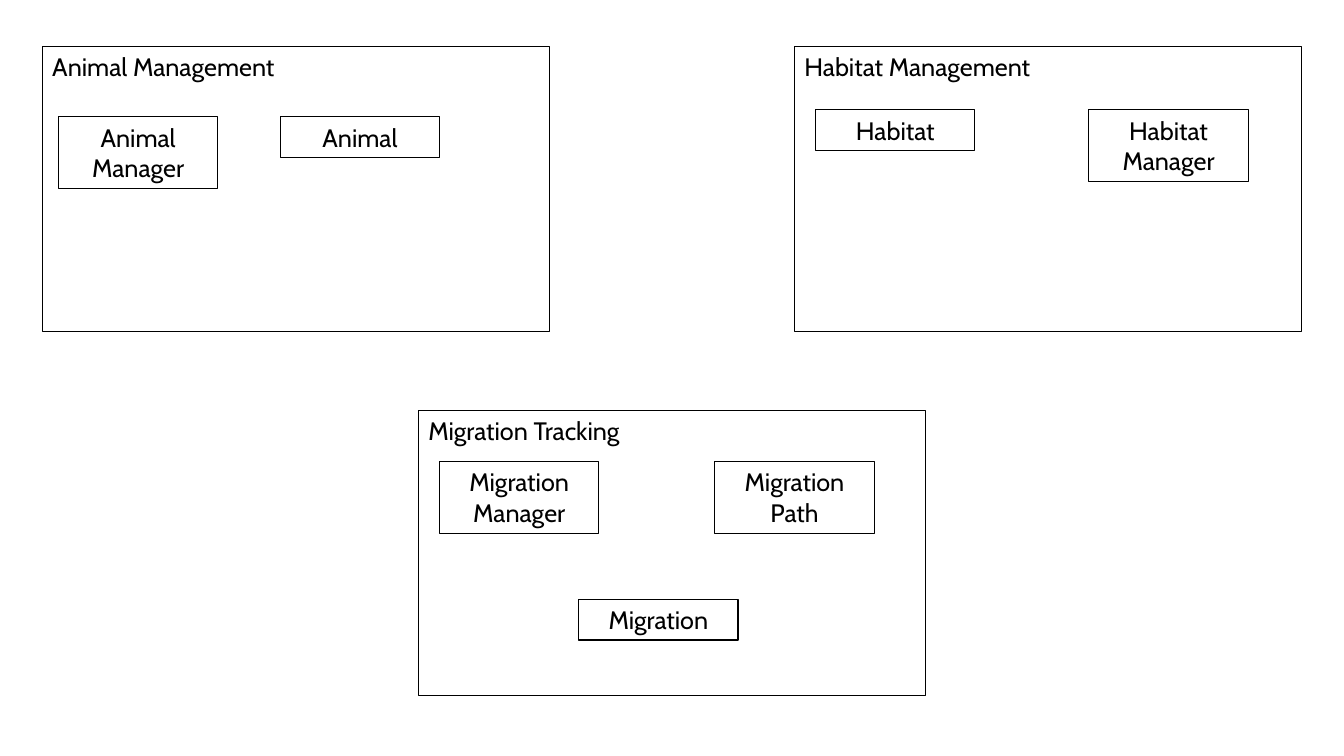
from pptx import Presentation
from pptx.dml.color import RGBColor
from pptx.enum.shapes import MSO_SHAPE
from pptx.enum.text import MSO_ANCHOR, PP_ALIGN
from pptx.util import Inches, Pt

RECTANGLE = MSO_SHAPE.RECTANGLE
TOP = MSO_ANCHOR.TOP
LEFT, CENTER = PP_ALIGN.LEFT, PP_ALIGN.CENTER
BLACK = RGBColor(0x00, 0x00, 0x00)
FONT = "Cabin"

# Modules: title, left, top, classes (name, left, top, number of lines)
MODULES = [
    ("Animal Management", 0.42, 0.46, [
        ("Animal\nManager", 0.58, 1.16, 2),
        ("Animal", 2.78, 1.16, 1),
    ]),
    ("Habitat Management", 7.88, 0.46, [
        ("Habitat", 8.09, 1.09, 1),
        ("Habitat Manager", 10.8, 1.09, 2),
    ]),
    ("Migration Tracking", 4.15, 4.07, [
        ("Migration Manager", 4.36, 4.58, 2),
        ("Migration Path", 7.09, 4.58, 2),
        ("Migration", 5.74, 5.95, 1),
    ]),
]
MODULE_SIZE = (5.03, 2.83)
CLASS_WIDTH = 1.58
CLASS_HEIGHTS = {1: 0.4, 2: 0.71}


def add_box(slide, text, *, left, top, width, height, align=LEFT, size=18):
    box = slide.shapes.add_shape(
        RECTANGLE, Inches(left), Inches(top), Inches(width), Inches(height))
    box.shadow.inherit = False
    box.fill.background()
    box.line.color.rgb = BLACK
    box.line.width = Pt(0.75)
    frame = box.text_frame
    frame.word_wrap = True
    frame.vertical_anchor = TOP
    frame.text = text
    for paragraph in frame.paragraphs:
        paragraph.alignment = align
        font = paragraph.runs[0].font
        font.name = FONT
        font.size = Pt(size)
        font.color.rgb = BLACK


def main():
    deck = Presentation()
    deck.slide_width, deck.slide_height = Inches(13.33), Inches(7.5)
    slide = deck.slides.add_slide(deck.slide_layouts[6])

    # Each module frame, then the classes inside it
    module_width, module_height = MODULE_SIZE
    for title, module_left, module_top, classes in MODULES:
        add_box(slide, title, left=module_left, top=module_top,
                width=module_width, height=module_height)
        for name, left, top, lines in classes:
            add_box(slide, name, left=left, top=top, width=CLASS_WIDTH,
                    height=CLASS_HEIGHTS[lines], align=CENTER)

    deck.save("out.pptx")


if __name__ == "__main__":
    main()
